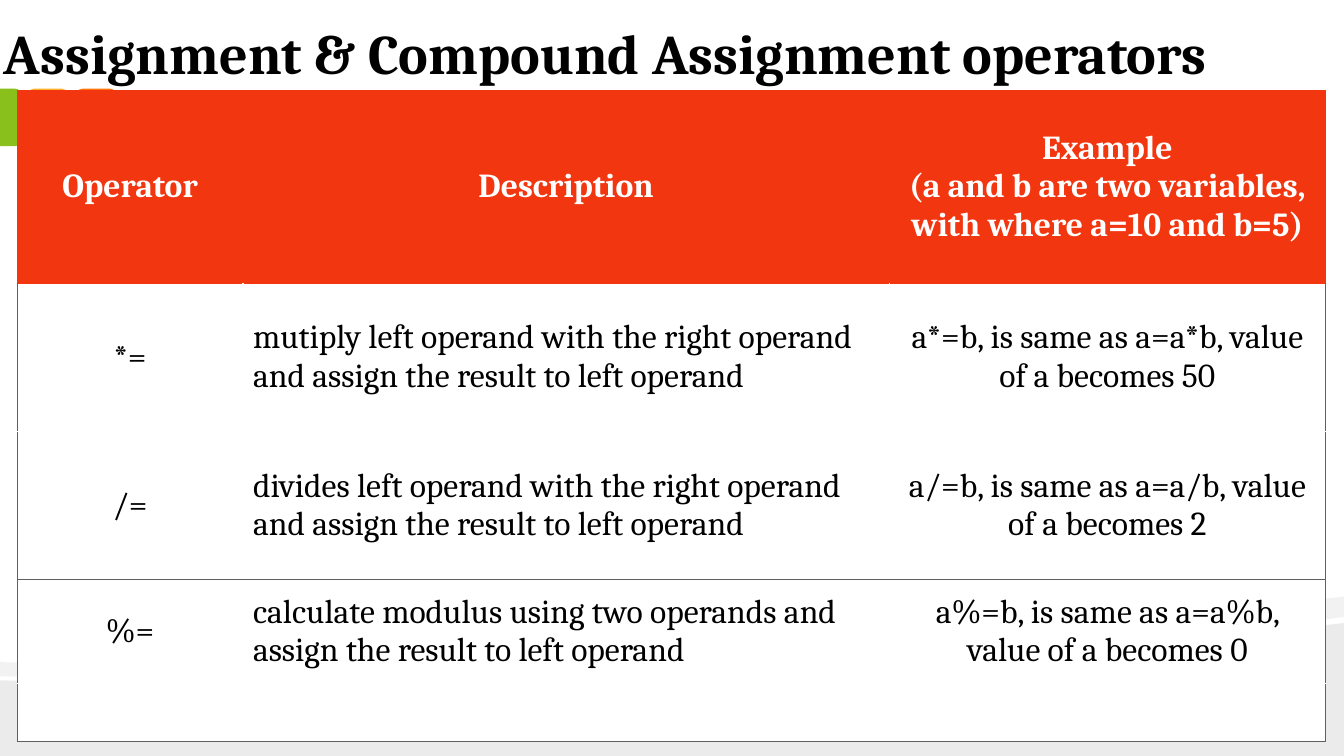
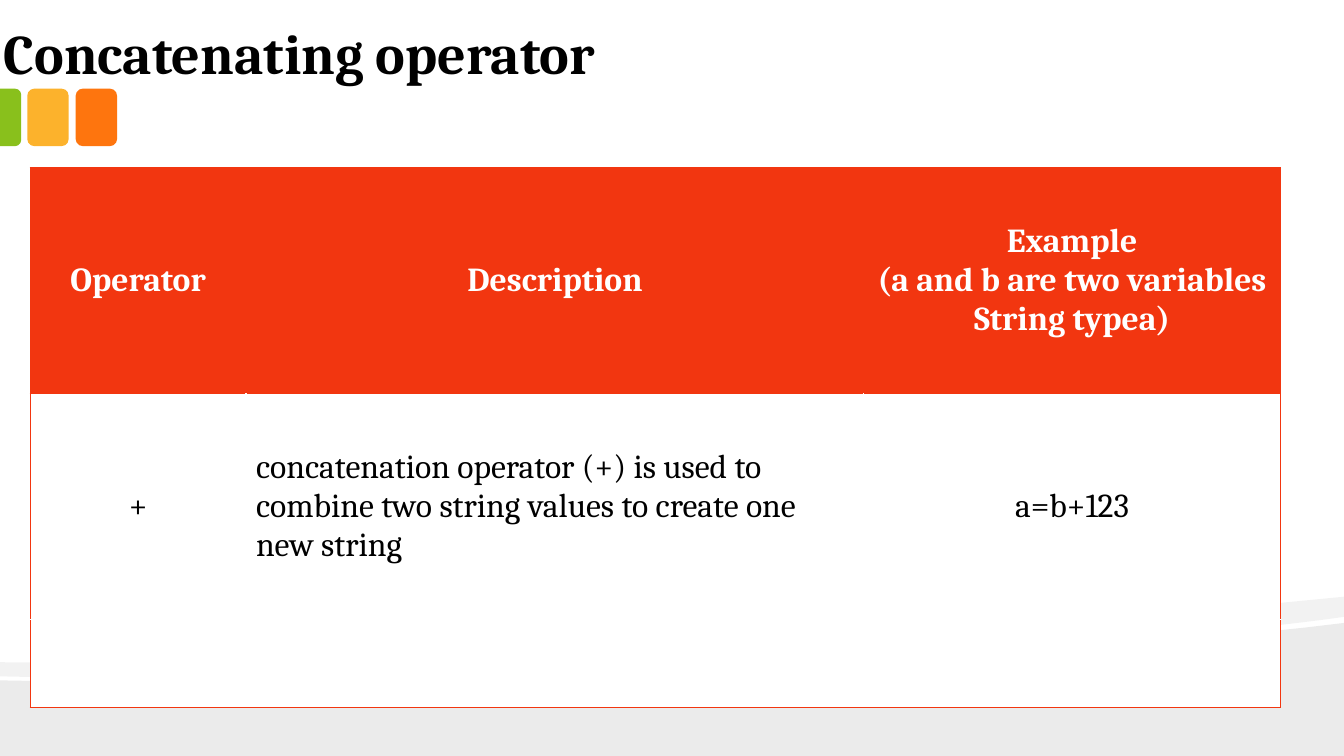
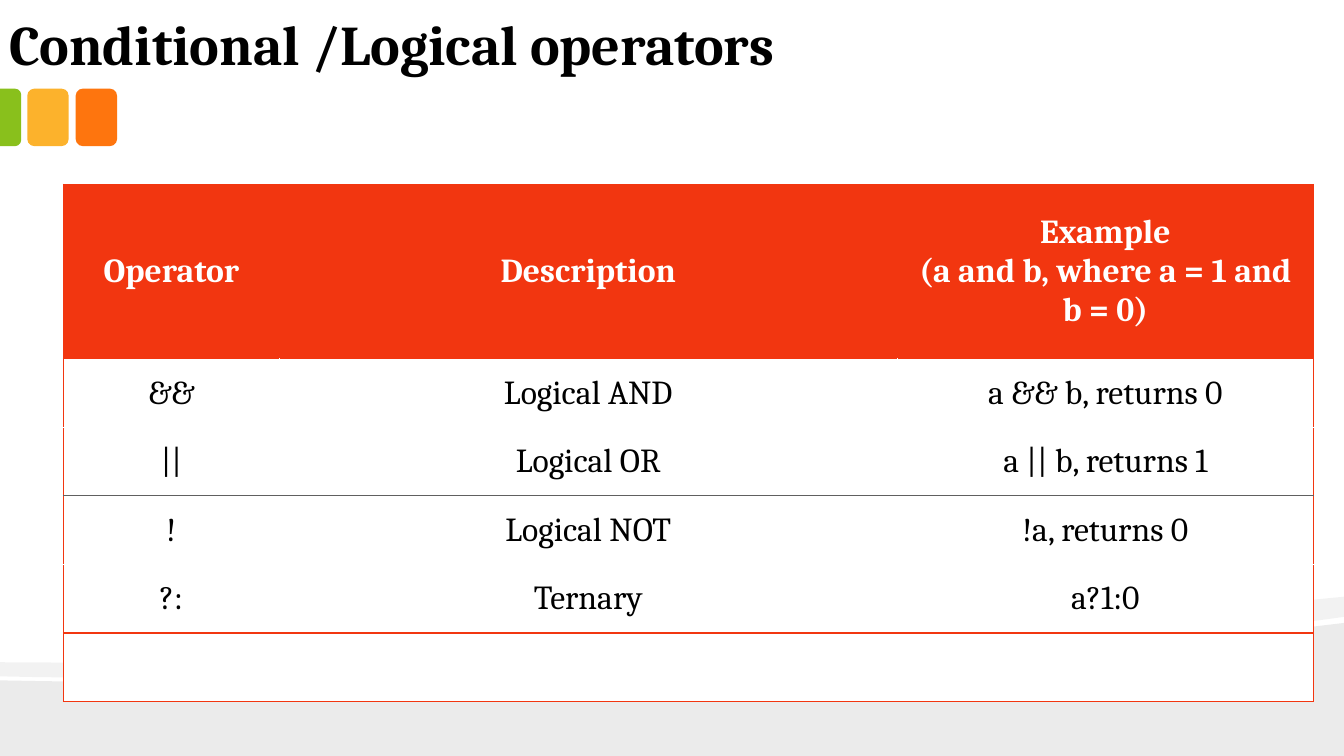
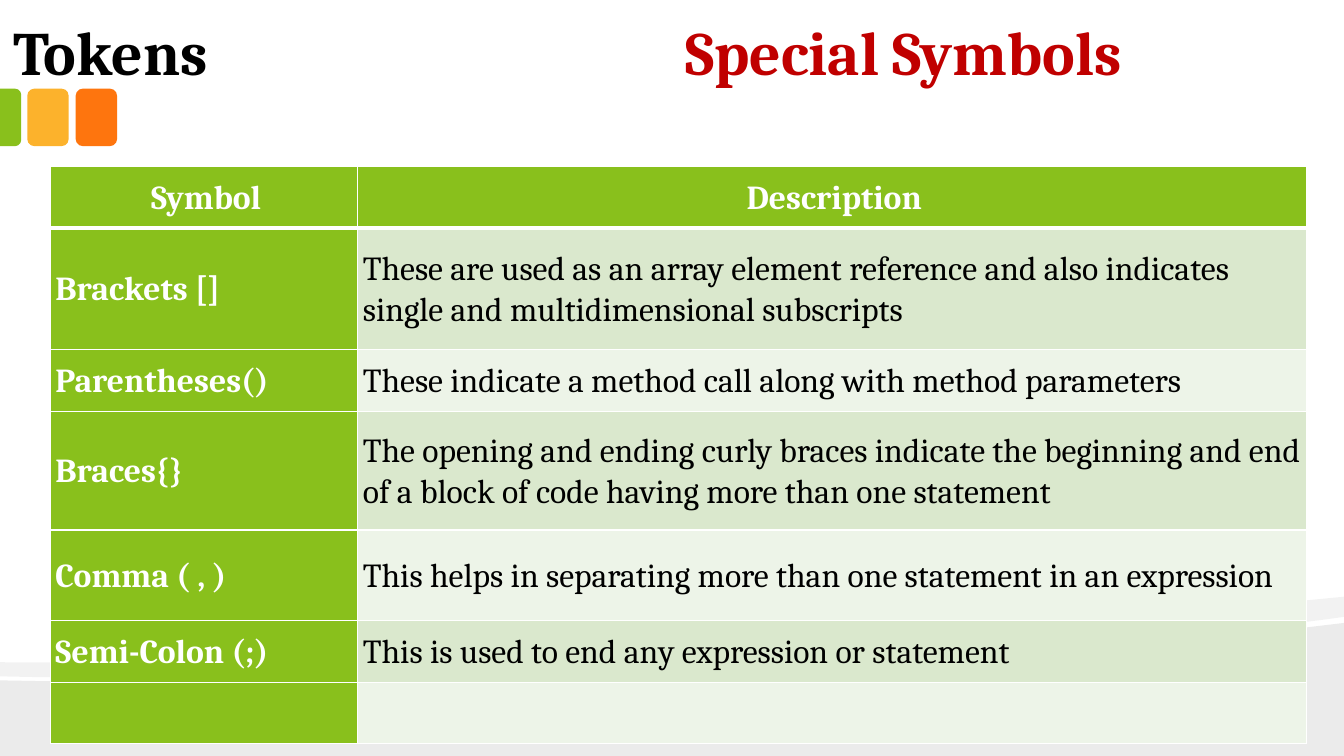
from dataclasses import dataclass
from lxml import etree
from pptx import Presentation
from pptx import util as u
from pptx.dml.color import RGBColor
from pptx.enum import shapes, text
from pptx.oxml import ns


@dataclass(frozen=True)
class Theme:
    """Colours, font and type sizes of the deck."""
    font: str = "Cambria"
    title: int = 40
    title_large: int = 44
    cell: int = 24
    black: str = "000000"
    white: str = "FFFFFF"
    red: str = "F23610"
    crimson: str = "C00000"
    gray: str = "606060"
    green: str = "89C01C"
    amber: str = "FCB22C"
    orange: str = "FE750E"
    pale: tuple = ("DAE8CD", "EDF4E8")


T = Theme()
W, H = u.Inches(13.333), u.Inches(7.5)
LEFT, CENTER = text.PP_ALIGN.LEFT, text.PP_ALIGN.CENTER


def px(share):
    """Turn a percentage of the slide width into a length."""
    return u.Emu(round(W * share / 100))


def py(share):
    """Turn a percentage of the slide height into a length."""
    return u.Emu(round(H * share / 100))


def place(box):
    """Turn left, top, width and height percentages into lengths."""
    x, y, w, h = box
    return px(x), py(y), px(w), py(h)


def paint(sp, color, alpha=None):
    """Give a shape a plain fill without line or shadow."""
    sp.shadow.inherit = False
    sp.line.fill.background()
    sp.fill.solid()
    sp.fill.fore_color.rgb = RGBColor.from_string(color)
    if alpha:
        clr = sp.element.find(".//" + ns.qn("a:srgbClr"))
        etree.SubElement(clr, ns.qn("a:alpha")).set("val", str(alpha * 1000))


def style(font, size, color, bold):
    """Set the face, size, colour and weight of a font."""
    font.name, font.size, font.bold = T.font, u.Pt(size), bold
    font.color.rgb = RGBColor.from_string(color)


def curve(p0, p1, p2, p3, steps=24):
    """List the points of a cubic curve after its start."""
    pts = []
    for i in range(1, steps + 1):
        t = i / steps
        k = ((1 - t) ** 3, 3 * t * (1 - t) ** 2, 3 * t * t * (1 - t), t ** 3)
        pts.append(tuple(sum(a * p[d] for a, p in zip(k, (p0, p1, p2, p3)))
                         for d in (0, 1)))
    return pts


def add_wave(s, pts, alpha):
    """Draw a translucent wave through percentage points."""
    emu = [(px(x), py(y)) for x, y in pts]
    fb = s.shapes.build_freeform(*emu[0], scale=1.0)
    fb.add_line_segments(emu[1:], close=True)
    sp = fb.convert_to_shape()
    paint(sp, T.black, alpha)
    return sp


def add_tile(s, kind, box, color, adj, angle=0):
    """Draw one rounded tile of the title mark."""
    sp = s.shapes.add_shape(kind, *place(box))
    sp.adjustments[0] = adj
    sp.rotation = angle
    paint(sp, color)
    return sp


def decorate_master(prs, s):
    """Draw the waves and tiles and move them to the slide master."""
    ground = [(100, 100), (0, 100), (0, 90)]
    ground += curve((0, 90), (26.4, 91.07), (78.15, 87.33), (100, 82.4))
    ribbon = [(100, 78.93), (100, 81.6)]
    ribbon += curve((100, 81.6), (94.13, 83.07), (86.18, 84.4), (77.18, 85.47))
    ribbon += curve((77.18, 85.47), (52.35, 88.4), (19.35, 90.27), (0, 89.47))
    ribbon += [(0, 87.6)]
    ribbon += curve((0, 87.6), (48.9, 88.27), (72.83, 83.6), (100, 78.93))
    kinds = shapes.MSO_SHAPE
    parts = [add_wave(s, ground, 8), add_wave(s, ribbon, 5)]
    for i, color in enumerate((T.amber, T.orange)):
        parts.append(add_tile(s, kinds.ROUNDED_RECTANGLE,
                              (2.03 + 3.6 * i, 11.73, 3.08, 7.6), color, 0.17))
    parts.append(add_tile(s, kinds.ROUND_2_SAME_RECTANGLE,
                          (-1.35, 14.13, 4.28, 2.8), T.green, 0.29, 90))
    for sp in parts:
        prs.slide_master.shapes.element.append(sp.element)


def set_title(s, box, words, size, extra=None):
    """Fill the title placeholder, with an optional second part at a tab."""
    sp = s.shapes.title
    sp.left, sp.top, sp.width, sp.height = place(box)
    tf = sp.text_frame
    tf.word_wrap, tf.auto_size = True, text.MSO_AUTO_SIZE.NONE
    tf.vertical_anchor = text.MSO_ANCHOR.BOTTOM
    tf.margin_left = tf.margin_right = u.Inches(0.13)
    tf.margin_top = tf.margin_bottom = u.Inches(0.07)
    p = tf.paragraphs[0]
    p.alignment = LEFT
    p.add_run().text = words
    if extra:
        tabs = etree.SubElement(p._p.get_or_add_pPr(), ns.qn("a:tabLst"))
        tab = etree.SubElement(tabs, ns.qn("a:tab"))
        tab.set("pos", str(px(50)))
        tab.set("algn", "l")
        r = p.add_run()
        r.text = "\t" + extra
        r.font.color.rgb = RGBColor.from_string(T.crimson)
    style(p.font, size, T.black, True)


def set_borders(cell, **sides):
    """Line the cell's sides, each given as a colour and a width."""
    tc_pr = cell._tc.get_or_add_tcPr()
    for i, side in enumerate("LRTB"):
        color, width = sides[side]
        ln = etree.Element(ns.qn("a:ln" + side), w=str(u.Pt(width)))
        fill = etree.SubElement(ln, ns.qn("a:solidFill"))
        etree.SubElement(fill, ns.qn("a:srgbClr")).set("val", color)
        tc_pr.insert(i, ln)


def fill_cell(cell, words, color, ink, bold, align, tight):
    """Write and format one cell."""
    cell.fill.solid()
    cell.fill.fore_color.rgb = RGBColor.from_string(color)
    cell.vertical_anchor = text.MSO_ANCHOR.MIDDLE
    if tight:
        cell.margin_left = u.Inches(0.05)
        cell.margin_right = cell.margin_top = cell.margin_bottom = u.Inches(0.01)
    cell.text_frame.text = words
    for p in cell.text_frame.paragraphs:
        p.alignment = align
        if tight:
            p.line_spacing, p.space_after = 1.07, u.Pt(8)
        style(p.font, T.cell, ink, bold)


def add_grid(s, corner, cols, heights, data, rules, aligns, head, side,
             bands=(T.white,), keyed=False):
    """Build a table; keyed gives a coloured first column and tight cells."""
    n, m = len(heights), len(cols)
    frame = s.shapes.add_table(n, m, *place((*corner, sum(cols), sum(heights))))
    tbl = frame.table
    tbl.first_row, tbl.first_col, tbl.horz_banding = True, keyed, False
    for col, share in zip(tbl.columns, cols):
        col.width = px(share)
    for row, share in zip(tbl.rows, heights):
        row.height = py(share)
    lines = [(color, 3 if keyed and i == 1 else 1)
             for i, color in enumerate(rules)]
    for i in range(n):
        for j in range(m):
            strong = i == 0 or (keyed and j == 0)
            color = head if strong else bands[(i - 1) % len(bands)]
            words = data[i][j] if i < len(data) else ""
            cell = tbl.cell(i, j)
            fill_cell(cell, words, color, T.white if strong else T.black,
                      strong, CENTER if i == 0 else aligns[j], keyed)
            plain_head = i == 0 and not keyed
            inner = (head if plain_head else T.white, 1)
            outer = (head if plain_head else side, 1)
            set_borders(cell, L=inner if j else outer,
                        R=inner if j < m - 1 else outer,
                        T=lines[i], B=lines[i + 1])


def operator_slide(s, title, box, corner, cols, heights, example, rows, rules,
                   side=T.red, aligns=(CENTER, LEFT, CENTER)):
    """Build a slide with a red headed table of operators."""
    set_title(s, box, title, T.title)
    data = [("Operator", "Description", "Example\n" + example), *rows]
    add_grid(s, corner, cols, heights, data, rules, aligns, T.red, side)


def symbol_slide(s, rows):
    """Build the slide with the green table of special symbols."""
    set_title(s, (0, 0.13, 98.25, 12.4), "Tokens", T.title_large,
              "Special Symbols")
    heights = (8.13, 16.13, 8.13, 15.73, 12, 8.13, 8.13)
    add_grid(s, (3.75, 22), (22.88, 70.58), heights,
             [("Symbol", "Description"), *rows],
             [T.white] * (len(heights) + 1), (LEFT, LEFT), T.green, T.white,
             T.pale, keyed=True)


def main():
    """Build and save the deck."""
    prs = Presentation()
    prs.slide_width, prs.slide_height = W, H
    compound, concat, logical, tokens = (
        prs.slides.add_slide(prs.slide_layouts[5]) for _ in range(4))
    decorate_master(prs, compound)
    wide = (-0.68, -6.8, 99.38, 19.07)
    cols = (16.05, 45.98, 30.98)
    operator_slide(
        compound, "Assignment & Compound Assignment operators", wide,
        (1.28, 12), (16.8, 48.08, 32.48), (25.47, 19.6, 19.6, 13.73, 7.73),
        "(a and b are two variables, with where a=10 and b=5)",
        [("*=", "mutiply left operand with the right operand and assign the "
          "result to left operand",
          "a*=b, is same as a=a*b, value of a becomes 50"),
         ("/=", "divides left operand with the right operand and assign the "
          "result to left operand",
          "a/=b, is same as a=a/b, value of a becomes 2"),
         ("%=", "calculate modulus using two operands and assign the result "
          "to left operand",
          "a%=b, is same as a=a%b, value of a becomes 0")],
        (T.red, T.red, T.white, T.gray, T.white, T.gray), T.gray)
    operator_slide(
        concat, "Concatenating operator", wide, (2.25, 22.2), cols,
        (29.87, 29.87, 11.6), "(a and b are two variables String typea)",
        [("+", "concatenation operator (+) is used to combine two string "
          "values to create one new string", "a=b+123")],
        (T.red, T.red, T.white, T.red))
    operator_slide(
        logical, "Conditional /Logical operators", (-0.3, 0, 77.78, 11.07),
        (4.73, 24.4), cols, (23.07, *[9.07] * 5),
        "(a and b, where a = 1 and b = 0)",
        [("&&", "Logical AND", "a && b, returns 0"),
         ("||", "Logical OR", "a || b, returns 1"),
         ("!", "Logical NOT", "!a, returns 0"),
         ("?:", "Ternary", "a?1:0")],
        (T.red, T.red, T.white, T.gray, T.white, T.red, T.red),
        aligns=(CENTER,) * 3)
    symbol_slide(tokens, [
        ("Brackets []", "These are used as an array element reference and "
         "also indicates single and multidimensional subscripts"),
        ("Parentheses()",
         "These indicate a method call along with method parameters"),
        ("Braces{}", "The opening and ending curly braces indicate the "
         "beginning and end of a block of code having more than one statement"),
        ("Comma ( , )",
         "This helps in separating more than one statement in an expression"),
        ("Semi-Colon (;)", "This is used to end any expression or statement")])
    prs.save("out.pptx")


if __name__ == "__main__":
    main()
